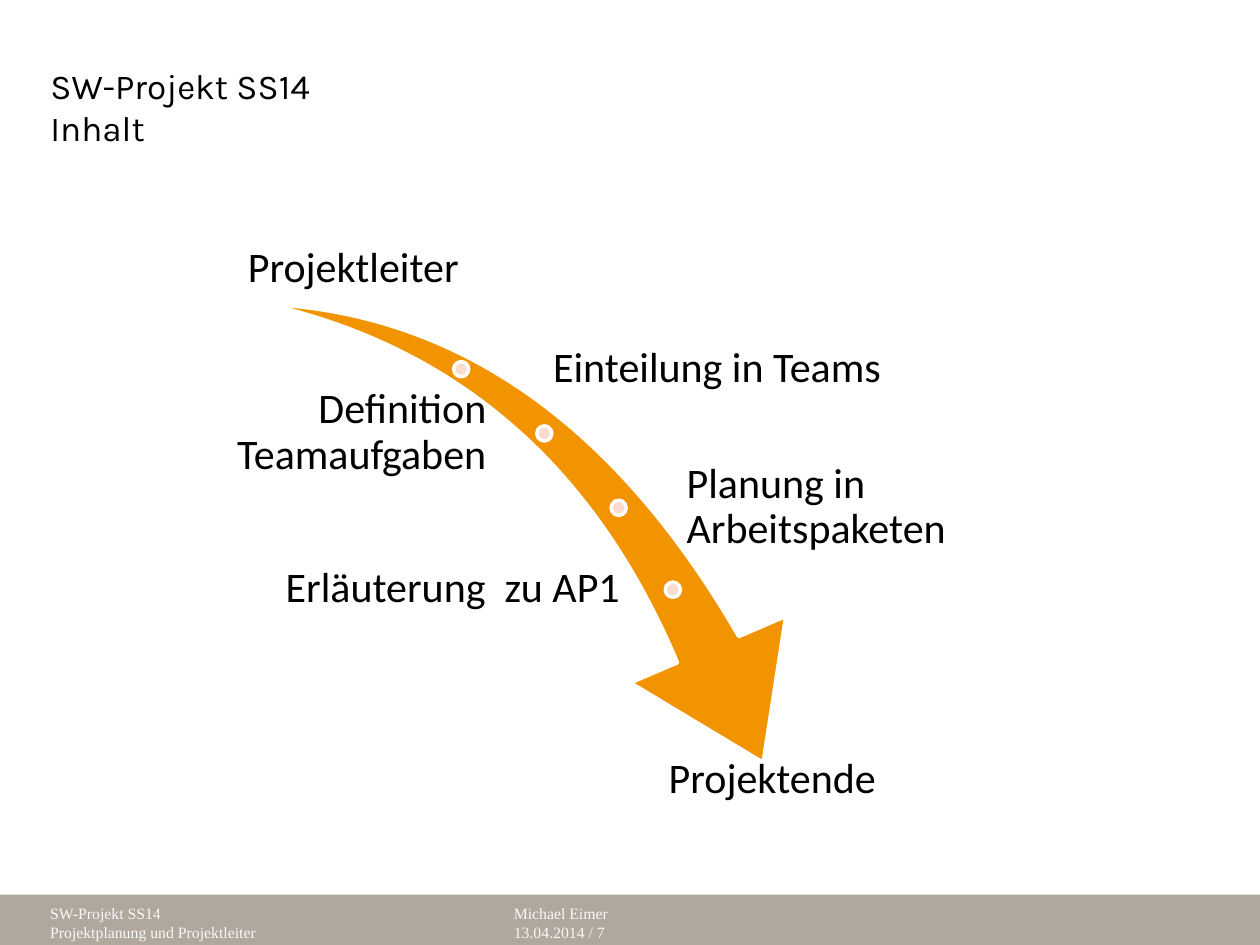
from pptx import Presentation, util as u
from pptx.dml.color import RGBColor
from pptx.enum import shapes, text

Kind = shapes.MSO_SHAPE
Side = text.PP_ALIGN
Hold = text.MSO_ANCHOR


def hue(code):
    return RGBColor.from_string(code)


class Deck:
    ink, paper, sand = "000000", "FFFFFF", "B0A79D"
    flame, blush, pale = "F29400", "FADCCC", "F8F8F8"
    cols, rows = 100, 75

    def __init__(self):
        self.prs = Presentation()
        self.prs.slide_width = u.Inches(10)
        self.prs.slide_height = u.Inches(7.5)
        self.slide = self.prs.slides.add_slide(self.prs.slide_layouts[5])

    def box(self, left, top, wide, high):
        col = self.prs.slide_width / self.cols
        row = self.prs.slide_height / self.rows
        return [round(n) for n in (left * col, top * row, wide * col, high * row)]

    def style(self, run, font, size, tint):
        run.font.name = font
        run.font.size = u.Pt(size)
        run.font.color.rgb = hue(tint)

    def title(self, area, lines):
        head = self.slide.shapes.title
        head.left, head.top, head.width, head.height = self.box(*area)
        frame = head.text_frame
        frame.word_wrap = True
        frame.auto_size = text.MSO_AUTO_SIZE.NONE
        frame.vertical_anchor = Hold.TOP
        para = frame.paragraphs[0]
        para.alignment = Side.LEFT
        for num, line in enumerate(lines):
            if num:
                para.add_line_break()
            run = para.add_run()
            run.text = line
            self.style(run, "Karla", 20, self.ink)

    def shape(self, kind, area, fill, edge=None):
        item = self.slide.shapes.add_shape(kind, *self.box(*area))
        item.shadow.inherit = False
        item.fill.solid()
        item.fill.fore_color.rgb = hue(fill)
        if edge:
            item.line.color.rgb = hue(edge)
            item.line.width = u.Pt(2)
        else:
            item.line.fill.background()
        return item

    def words(self, area, lines, font, size, tint, side=Side.LEFT,
              hold=Hold.TOP, inset=None, lead=None):
        frame = self.slide.shapes.add_textbox(*self.box(*area)).text_frame
        frame.word_wrap = True
        frame.vertical_anchor = hold
        if inset is not None:
            frame.margin_left = frame.margin_right = u.Inches(inset)
            frame.margin_top = frame.margin_bottom = u.Inches(inset)
        for num, line in enumerate(lines):
            para = frame.add_paragraph() if num else frame.paragraphs[0]
            para.alignment = side
            para.line_spacing = lead
            run = para.add_run()
            run.text = line
            self.style(run, font, size, tint)

    def footer(self, left, wide, lines):
        self.words((left, 71.2, wide, 5.2), lines, "Times New Roman", 9, self.pale)

    def label(self, left, top, wide, line, side, hold=Hold.MIDDLE):
        self.words((left, top, wide, 8.5), [line], "Calibri", 24, self.ink,
                   side, hold, 0.03, 0.9)

    def arrow(self, area, turn, bends):
        item = self.shape(Kind.SWOOSH_ARROW, area, self.flame, self.paper)
        item.rotation = turn
        for num, bend in enumerate(bends):
            item.adjustments[num] = bend

    def dot(self, left, top):
        self.shape(Kind.OVAL, (left, top, 1.2, 1.2), self.blush, self.paper)


def main():
    deck = Deck()
    deck.shape(Kind.RECTANGLE, (0, 71, 100, 4), deck.sand)
    deck.footer(39.8, 31.7, ["Michael Eimer", "13.04.2014 / 7"])
    deck.footer(3, 25.4, ["SW-Projekt SS14", "Projektplanung und Projektleiter"])
    deck.title((3, 4.6, 64.9, 14.7), ["SW-Projekt SS14", "Inhalt"])

    deck.arrow((20.3, 25.5, 46.1, 32.2), 73.3, (0.163, 0.314))
    for spot in ((36, 28.7), (42.6, 33.8), (48.5, 39.7), (52.8, 46.2)):
        deck.dot(*spot)

    deck.label(17.2, 14.9, 21.7, "Projektleiter", Side.CENTER, Hold.BOTTOM)
    deck.label(43.6, 25, 32.3, "Einteilung in Teams", Side.LEFT)
    deck.label(17.2, 30.1, 21.7, "Definition Teamaufgaben", Side.RIGHT)
    deck.label(54.2, 36, 21.7, "Planung in Arbeitspaketen", Side.LEFT)
    deck.label(17.2, 42.5, 32.3, "Erläuterung  zu AP1", Side.RIGHT)
    deck.label(46.6, 59.8, 29.4, "Projektende", Side.CENTER, Hold.TOP)
    deck.prs.save("out.pptx")


if __name__ == "__main__":
    main()
